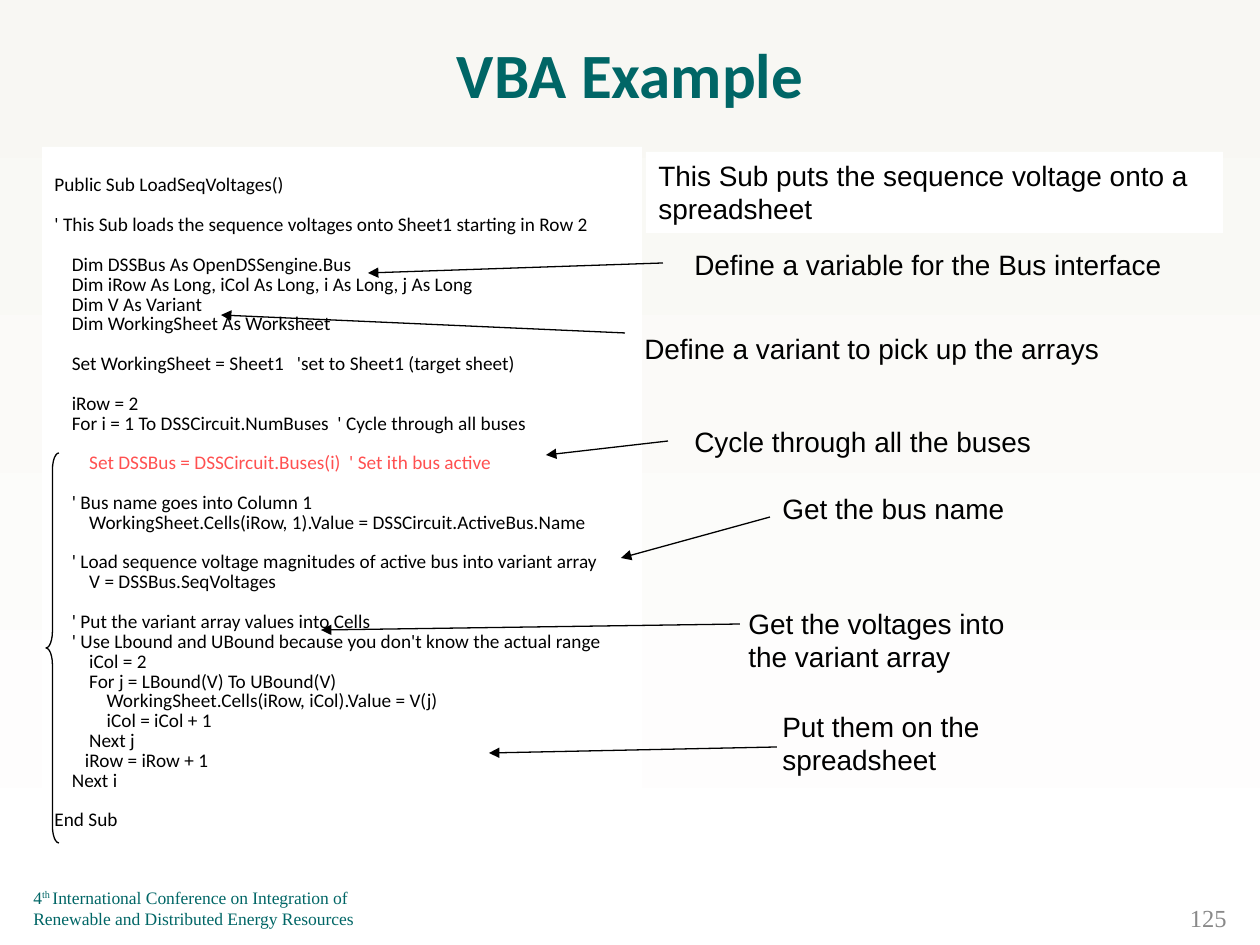
import pptx
import pptx.util
import pptx.dml.color
import pptx.enum.shapes
import pptx.enum.text
import pptx.oxml.ns
import lxml.etree

RGB = pptx.dml.color.RGBColor
TEAL = RGB(0x00, 0x66, 0x66)
CREAM = RGB(0xF8, 0xF7, 0xF3)
WHITE = RGB(0xFF, 0xFF, 0xFF)
BLACK = RGB(0x00, 0x00, 0x00)
RED = RGB(0xFF, 0x50, 0x50)
GREY = RGB(0x89, 0x89, 0x89)
SCALE = 914400 / 126
PITCH = 11.34
ALIGN = pptx.enum.text.PP_ALIGN
ANCHOR = pptx.enum.text.MSO_ANCHOR
SHAPE = pptx.enum.shapes.MSO_SHAPE

CODE = [
    ["Public Sub LoadSeqVoltages()"],
    ["' This Sub loads the sequence voltages onto Sheet1 starting in Row 2"],
    ["    Dim DSSBus As OpenDSSengine.Bus",
     "    Dim iRow As Long, iCol As Long, i As Long, j As Long",
     "    Dim V As Variant",
     "    Dim WorkingSheet As Worksheet"],
    ["    Set WorkingSheet = Sheet1   'set to Sheet1 (target sheet)"],
    ["    iRow = 2",
     "    For i = 1 To DSSCircuit.NumBuses  ' Cycle through all buses"],
    ["        Set DSSBus = DSSCircuit.Buses(i)  ' Set ith bus active"],
    ["    ' Bus name goes into Column 1",
     "        WorkingSheet.Cells(iRow, 1).Value = DSSCircuit.ActiveBus.Name"],
    ["    ' Load sequence voltage magnitudes of active bus into variant array",
     "        V = DSSBus.SeqVoltages"],
    ["    ' Put the variant array values into Cells",
     "    ' Use Lbound and UBound because you don't know the actual range",
     "        iCol = 2",
     "        For j = LBound(V) To UBound(V)",
     "            WorkingSheet.Cells(iRow, iCol).Value = V(j)",
     "            iCol = iCol + 1",
     "        Next j",
     "       iRow = iRow + 1",
     "    Next i"],
    ["End Sub"],
]

NOTES = [
    ("This Sub puts the sequence voltage onto a spreadsheet", (14, 0, 577, 81), None),
    ("Define a variable for the Bus interface", (50, 89, 577, 47), (-19, 22, -314, 32)),
    ("Define a variant to pick up the arrays", (0, 173, 577, 47), (-7, 8, -411, -10)),
    ("Cycle through all the buses", (50, 266, 577, 47), (-14, 23, -136, 37)),
    ("Get the bus name", (138, 333, 282, 47), (0, 32, -149, 73)),
    ("Get the voltages into the variant array", (104, 448, 282, 81), (4, 24, -415, 30)),
    ("Put them on the spreadsheet", (138, 551, 282, 81), (7, 44, -281, 50)),
]


def px(*nums):
    return [pptx.util.Emu(round(n * SCALE)) for n in nums]


def style(font, name, size, color, bold=False):
    font.name = name
    font.size = pptx.util.Pt(size)
    font.color.rgb = color
    font.bold = bold


def write(slide, box, text, name, size, color, bold=False,
          align=ALIGN.LEFT, anchor=ANCHOR.TOP):
    shape = slide.shapes.add_textbox(*px(*box))
    frame = shape.text_frame
    frame.text = text
    frame.word_wrap = True
    frame.vertical_anchor = anchor
    for para in frame.paragraphs:
        para.alignment = align
        for run in para.runs:
            style(run.font, name, size, color, bold)
    return shape


def paint(shape):
    shape.fill.solid()
    shape.fill.fore_color.rgb = WHITE


def arrow(slide, ends):
    line = slide.shapes.add_connector(
        pptx.enum.shapes.MSO_CONNECTOR.STRAIGHT, *px(*ends))
    line.line.color.rgb = BLACK
    line.line.width = pptx.util.Pt(0.75)
    tip = lxml.etree.SubElement(
        line.line._get_or_add_ln(), pptx.oxml.ns.qn("a:tailEnd"))
    tip.set("type", "triangle")
    lxml.etree.SubElement(
        line._element.spPr, pptx.oxml.ns.qn("a:effectLst"))


def code(slide, box):
    rows = [(row, spot) for block in CODE for spot, row in enumerate(block)]
    text = "\n".join(row for row, spot in rows)
    shape = write(slide, box, text, "Calibri", 11, BLACK)
    paint(shape)
    shape.text_frame.margin_top = px(29)[0]
    paras = shape.text_frame.paragraphs
    for para, (row, spot) in zip(paras, rows):
        para.line_spacing = pptx.util.Pt(PITCH)
        if spot == 0:
            para.space_before = pptx.util.Pt(PITCH)
        if "Set DSSBus" in row:
            para.runs[0].font.color.rgb = RED
    paras[0].space_before = pptx.util.Pt(0)


def brace(slide, box):
    shape = slide.shapes.add_shape(SHAPE.LEFT_BRACE, *px(*box))
    shape.shadow.inherit = False
    shape.adjustments[0] = 1.28
    shape.fill.background()
    shape.line.color.rgb = BLACK
    shape.line.width = pptx.util.Pt(0.75)


def notes(slide, left, top):
    for text, (x, y, wide, high), ends in NOTES:
        x, y = left + x, top + y
        shape = write(slide, (x, y, wide, high), text, "Arial", 16, BLACK)
        if ends:
            x1, y1, x2, y2 = ends
            arrow(slide, (x + x1, y + y1, x + x2, y + y2))
        else:
            paint(shape)


def foot(slide, box):
    shape = write(slide, box, "4\nRenewable and Distributed Energy Resources",
                  "Times New Roman", 10, TEAL, anchor=ANCHOR.BOTTOM)
    para = shape.text_frame.paragraphs[0]
    for text in ("th ", "International Conference on Integration of"):
        run = para.add_run()
        run.text = text
        style(run.font, "Times New Roman", 10, TEAL)
    para.runs[1]._r.get_or_add_rPr().set("baseline", "30000")


def main():
    deck = pptx.Presentation()
    deck.slide_width, deck.slide_height = px(1260, 945)
    slide = deck.slides.add_slide(deck.slide_layouts[6])
    fill = slide.background.fill
    fill.gradient()
    fill.gradient_angle = 270
    for stop, color, place in zip(fill.gradient_stops, (CREAM, WHITE), (0, 1)):
        stop.color.rgb = color
        stop.position = place
    foot(slide, (21, 882, 400, 53))
    write(slide, (42, 21, 1176, 105), "VBA Example", "Calibri", 36, TEAL, True,
          ALIGN.CENTER, ANCHOR.MIDDLE)
    code(slide, (42, 147, 600, 740))
    notes(slide, 632, 152)
    brace(slide, (46, 453, 13, 390))
    write(slide, (1113, 901, 126, 34), "125", "Times New Roman", 14, GREY,
          align=ALIGN.RIGHT, anchor=ANCHOR.MIDDLE)
    deck.save("out.pptx")


if __name__ == "__main__":
    main()
